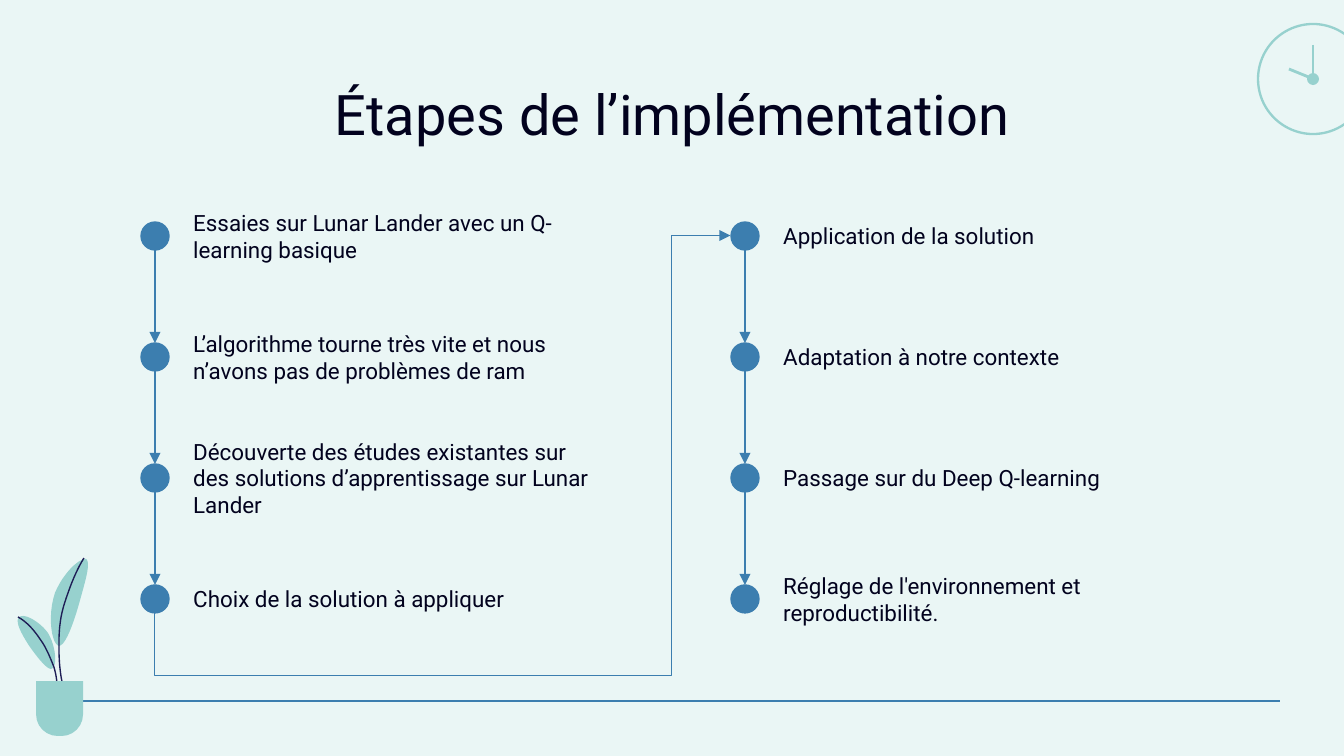
"""Build the slide that lists the eight project steps."""
from dataclasses import dataclass

import lxml.etree
import pptx
import pptx.dml.color
import pptx.enum.shapes
import pptx.enum.text
import pptx.oxml.ns
import pptx.util

SCALE = 914400 / 134.4
HUES = {"back": "EAF6F5", "blue": "3C7EAF", "mint": "97D1CE", "navy": "1E1E56", "ink": "02021E"}
FONT = "Roboto"
KINDS = pptx.enum.shapes.MSO_SHAPE
LINKS = pptx.enum.shapes.MSO_CONNECTOR
ALIGN = pptx.enum.text.PP_ALIGN
ANCHOR = pptx.enum.text.MSO_ANCHOR
TOP, PITCH, RADIUS = 236, 121, 14
FLOOR, LANE = 676, 672

Point = tuple[int, int]


@dataclass
class Column:
    x: int
    steps: list[str]


@dataclass
class Curve:
    start: Point
    bends: list[tuple[Point, Point, Point]]
    hue: str
    closed: bool


COLUMNS = [
    Column(155, [
        "Essaies sur Lunar Lander avec un Q-learning basique",
        "L’algorithme tourne très vite et nous n’avons pas de problèmes de ram",
        "Découverte des études existantes sur des solutions d’apprentissage sur Lunar Lander",
        "Choix de la solution à appliquer",
    ]),
    Column(745, [
        "Application de la solution",
        "Adaptation à notre contexte",
        "Passage sur du Deep Q-learning",
        "Réglage de l'environnement et reproductibilité.",
    ]),
]

PLANT = [
    Curve((86, 559), [
        ((91, 562), (86, 579), (81, 597)),
        ((77, 612), (67, 646), (59, 646)),
        ((52, 645), (47, 617), (55, 593)),
        ((63, 574), (78, 559), (86, 559)),
    ], "mint", True),
    Curve((84, 558), [
        ((75, 573), (70, 587), (65, 602)),
        ((60, 617), (59, 631), (59, 645)),
        ((59, 661), (60, 677), (65, 693)),
    ], "navy", False),
    Curve((23, 616), [
        ((28, 616), (40, 622), (48, 633)),
        ((56, 646), (58, 668), (51, 669)),
        ((46, 669), (34, 653), (28, 644)),
        ((27, 642), (9, 616), (23, 616)),
    ], "mint", True),
    Curve((18, 617), [
        ((27, 622), (34, 630), (40, 639)),
        ((46, 647), (50, 657), (54, 667)),
        ((57, 677), (58, 689), (58, 701)),
    ], "navy", False),
]


def px(size: int) -> int:
    return round(size * SCALE)


def color(name: str) -> pptx.dml.color.RGBColor:
    return pptx.dml.color.RGBColor.from_string(HUES[name])


def paint(shape, fill: str = "", line: str = "", width: float = 0.75) -> None:
    shape.shadow.inherit = False
    if fill:
        shape.fill.solid()
        shape.fill.fore_color.rgb = color(fill)
    else:
        shape.fill.background()
    if line:
        shape.line.color.rgb = color(line)
        shape.line.width = pptx.util.Pt(width)
    else:
        shape.line.fill.background()


def add_shape(slide: pptx.slide.Slide, kind: KINDS, x: int, y: int, w: int, h: int):
    return slide.shapes.add_shape(kind, px(x), px(y), px(w), px(h))


def add_disc(slide: pptx.slide.Slide, x: int, y: int, radius: int, **style) -> None:
    size = 2 * radius
    paint(add_shape(slide, KINDS.OVAL, x - radius, y - radius, size, size), **style)


def add_text(slide: pptx.slide.Slide, text: str, x: int, y: int, w: int, h: int,
             size: int, align: ALIGN, anchor: ANCHOR) -> None:
    frame = slide.shapes.add_textbox(px(x), px(y), px(w), px(h)).text_frame
    frame.word_wrap = True
    frame.vertical_anchor = anchor
    frame.margin_left = frame.margin_right = pptx.util.Inches(0.1)
    frame.margin_top = frame.margin_bottom = pptx.util.Inches(0.1)
    frame.text = text
    line = frame.paragraphs[0]
    line.alignment = align
    font = line.runs[0].font
    font.name = FONT
    font.size = pptx.util.Pt(size)
    font.color.rgb = color("ink")


def add_link(slide: pptx.slide.Slide, start: Point, end: Point, hue: str = "blue",
             width: float = 0.75, arrow: bool = False, kind: LINKS = LINKS.STRAIGHT):
    link = slide.shapes.add_connector(kind, *map(px, start + end))
    link.line.color.rgb = color(hue)
    link.line.width = pptx.util.Pt(width)
    qn = pptx.oxml.ns.qn
    if arrow:
        stroke = link.line._get_or_add_ln()
        lxml.etree.SubElement(stroke, qn("a:tailEnd"), type="triangle")
    lxml.etree.SubElement(link._element.spPr, qn("a:effectLst"))
    return link


def add_bend(slide: pptx.slide.Slide, start: Point, end: Point) -> None:
    run, rise = end[0] - start[0], start[1] - end[1]
    left = (start[0] + end[0] - rise) // 2
    top = (start[1] + end[1] - run) // 2
    link = add_link(slide, (left, top), (left + rise, top + run), arrow=True, kind=LINKS.ELBOW)
    qn = pptx.oxml.ns.qn
    props = link._element.spPr
    props.find(qn("a:xfrm")).set("rot", str(270 * 60000))
    form = props.find(qn("a:prstGeom"))
    form.set("prst", "bentConnector4")
    guides = form.find(qn("a:avLst"))
    ratios = [(start[1] - FLOOR) / rise, (LANE - start[0]) / run]
    for rank, ratio in enumerate(ratios, 1):
        lxml.etree.SubElement(guides, qn("a:gd"), name=f"adj{rank}",
                              fmla=f"val {round(ratio * 100000)}")


def add_curve(slide: pptx.slide.Slide, curve: Curve, parts: int = 12) -> None:
    points, last = [], curve.start
    for one, two, end in curve.bends:
        for t in (step / parts for step in range(1, parts + 1)):
            u = 1 - t
            points.append(tuple(
                px(u**3 * a + 3 * u * u * t * b + 3 * u * t * t * c + t**3 * d)
                for a, b, c, d in zip(last, one, two, end)))
        last = end
    pen = slide.shapes.build_freeform(*map(px, curve.start))
    pen.add_line_segments(points, close=curve.closed)
    shape = pen.convert_to_shape()
    if curve.closed:
        paint(shape, fill=curve.hue)
    else:
        paint(shape, line=curve.hue)


def add_decor(slide: pptx.slide.Slide) -> None:
    add_link(slide, (1280, 701), (55, 701), width=1.5)
    add_disc(slide, 1313, 79, 55, line="mint", width=1.25)
    add_disc(slide, 1313, 79, 6, fill="mint")
    add_link(slide, (1313, 45), (1313, 79), "mint", 0.75)
    add_link(slide, (1289, 69), (1311, 78), "mint", 1.5)
    for curve in PLANT:
        add_curve(slide, curve)
    pot = add_shape(slide, KINDS.ROUND_2_SAME_RECTANGLE, 36, 681, 47, 55)
    pot.adjustments[0] = 0.46
    pot.rotation = 180
    paint(pot, fill="mint")


def add_column(slide: pptx.slide.Slide, column: Column) -> None:
    for rank, step in enumerate(column.steps):
        y = TOP + rank * PITCH
        add_text(slide, step, column.x + 25, y - 40, 431, 80, 12, ALIGN.LEFT, ANCHOR.MIDDLE)
        add_disc(slide, column.x, y, RADIUS, fill="blue", line="blue")
        if rank:
            add_link(slide, (column.x, y - PITCH + RADIUS), (column.x, y - RADIUS), arrow=True)


def main() -> None:
    deck = pptx.Presentation()
    deck.slide_width, deck.slide_height = px(1344), px(756)
    slide = deck.slides.add_slide(deck.slide_layouts[6])
    slide.background.fill.solid()
    slide.background.fill.fore_color.rgb = color("back")
    add_decor(slide)
    add_text(slide, "Étapes de l’implémentation", 106, 66, 1133, 85, 30, ALIGN.CENTER, ANCHOR.TOP)
    for column in COLUMNS:
        add_column(slide, column)
    first, second = COLUMNS
    base = TOP + (len(first.steps) - 1) * PITCH + RADIUS
    add_bend(slide, (first.x, base), (second.x - RADIUS, TOP))
    deck.save("out.pptx")


if __name__ == "__main__":
    main()
